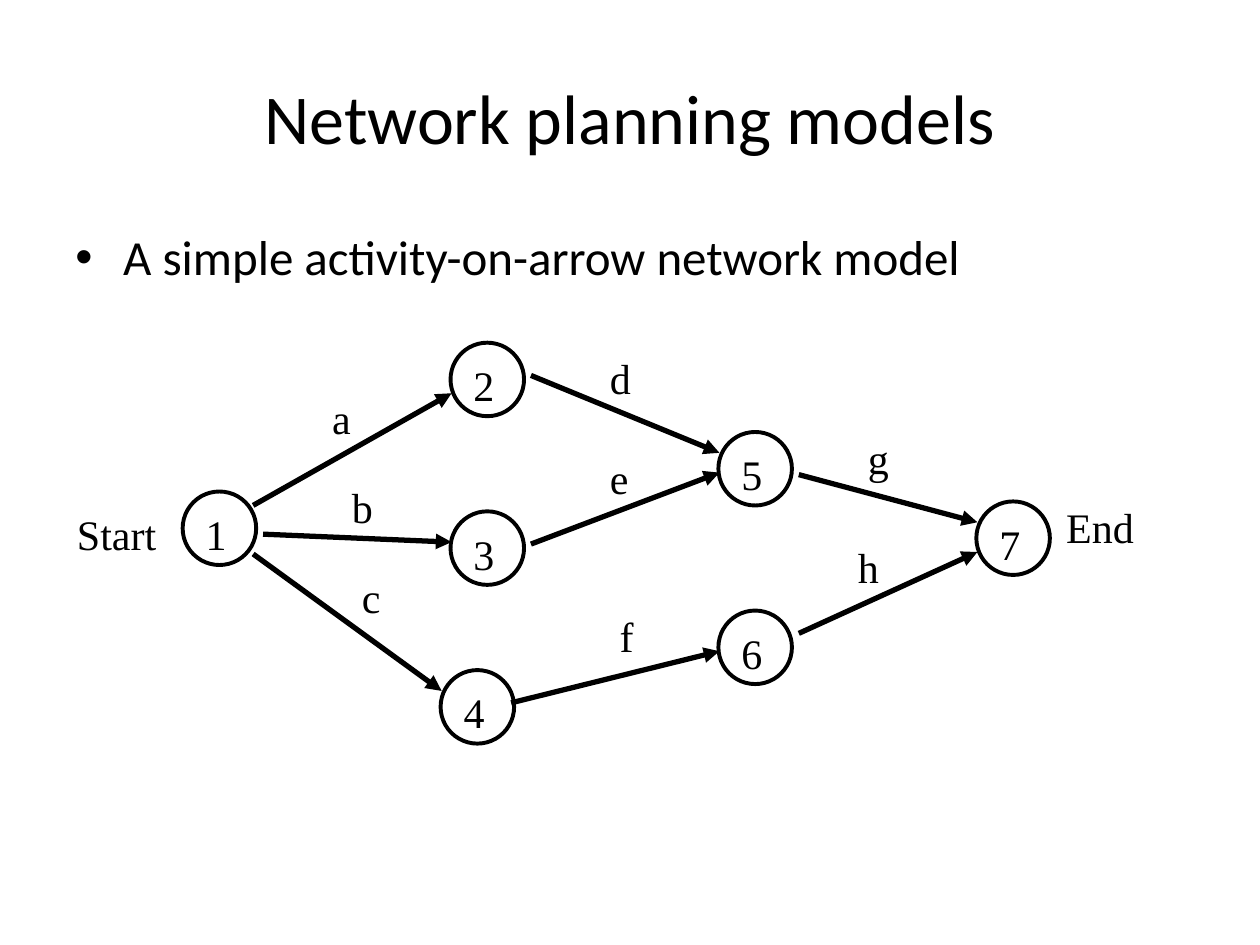
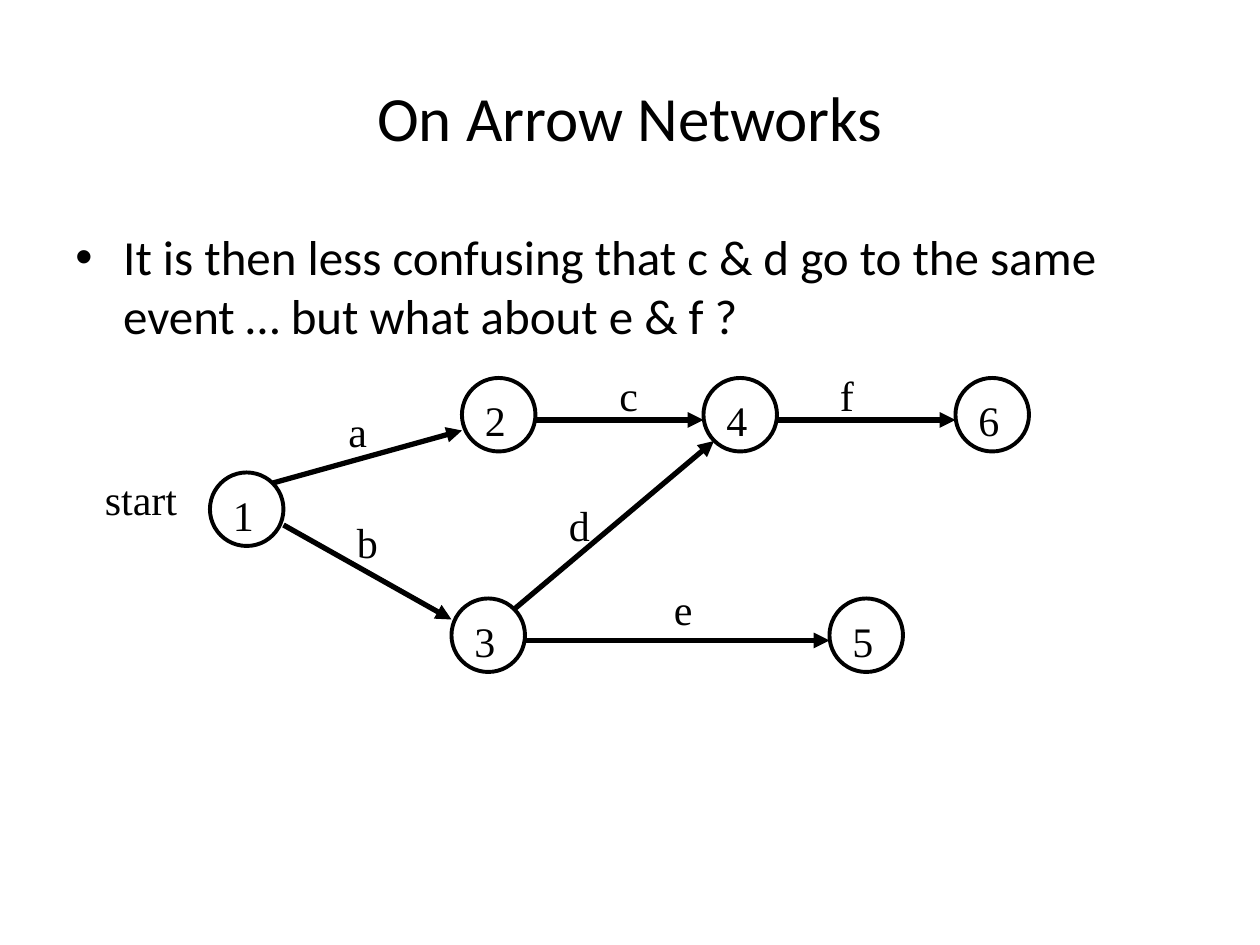
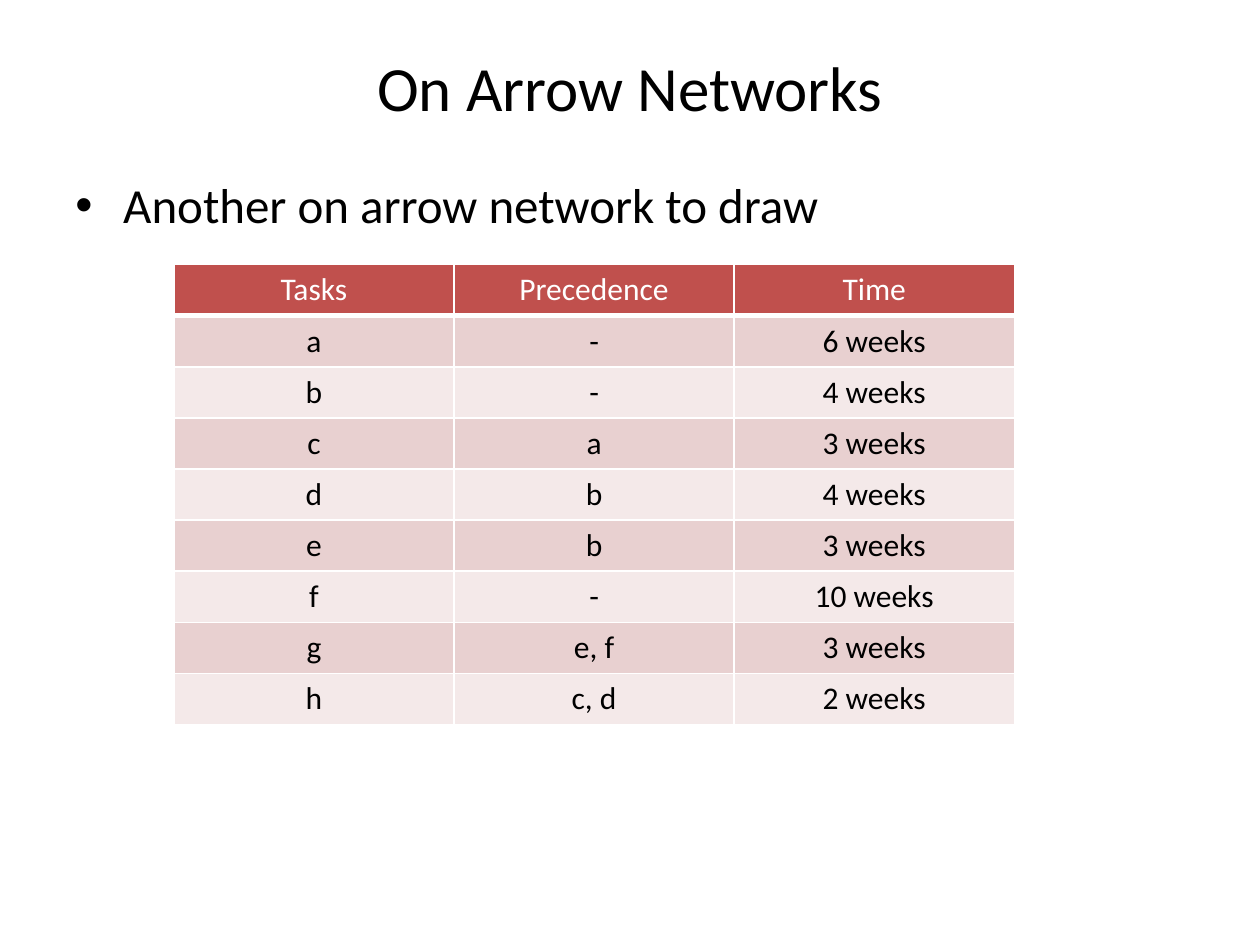
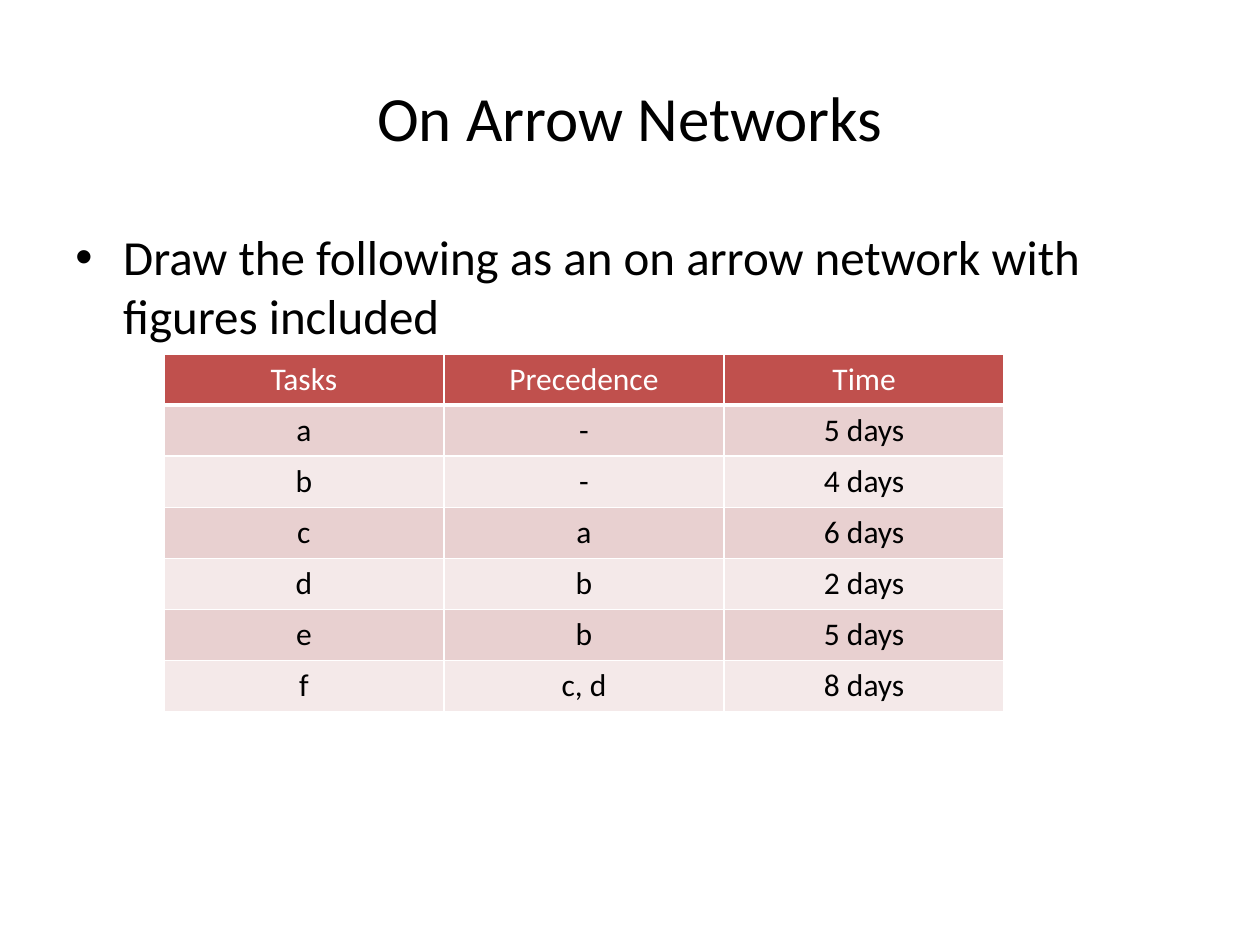
from lxml.etree import SubElement
from pptx import Presentation
from pptx.dml.color import RGBColor
from pptx.enum.shapes import MSO_CONNECTOR, MSO_SHAPE
from pptx.enum.text import MSO_ANCHOR, MSO_AUTO_SIZE as AUTO_SIZE, PP_ALIGN
from pptx.oxml.ns import qn
from pptx.util import Cm, Inches, Pt

# Shared look
COLORS = {
    "ink": "000000",
    "paper": "FFFFFF",
    "header": "C0504D",
    "odd": "E8D0D0",
    "even": "F4E9E9",
}
BODY_FONT, DIAGRAM_FONT = "Calibri", "Times New Roman"
MARGIN, CONTENT_WIDTH = Inches(0.5), Inches(9)
HANGING = Inches(0.38)
NODE_SIZE, NUMBER_INSET = Inches(7 / 12), Inches(1 / 12)
LABEL_SIZE = Pt(24)

# Letter widths in ems, used to fit a label's box to its text
LETTER_WIDTHS = {"S": 0.56, "E": 0.61, "a": 0.44, "c": 0.44, "e": 0.44,
                 "f": 0.33, "r": 0.33, "s": 0.39, "t": 0.28}

# Networks: nodes by column and row, arrows as (start, end), labels by text
ACTIVITY_NETWORK = {
    "origin": (Inches(1.45), Inches(2.72)),
    "step": Cm(0.2),
    "nodes": {"1": (0, 15), "2": (27, 0), "3": (27, 17), "4": (26, 33),
              "5": (54, 9), "6": (54, 27), "7": (80, 16)},
    "arrows": [
        ((7.1, 16.4), (27.1, 5.1)), ((8.1, 19.3), (27.1, 20.1)),
        ((7.1, 21.3), (26.1, 35.1)), ((35.1, 3.3), (54.1, 11.1)),
        ((35.1, 20.3), (54.1, 13.1)), ((33.1, 36.3), (54.1, 31.1)),
        ((62.1, 29.3), (80.1, 21.1)), ((62.1, 13.3), (80.1, 18.1)),
    ],
    "labels": {"Start": (-11.9, 16.1), "End": (87.8, 15.4),
               "a": (13.8, 4.4), "b": (15.8, 13.4), "c": (16.8, 22.4),
               "d": (41.8, 0.4), "e": (41.8, 10.4), "f": (42.8, 26.4),
               "g": (67.8, 8.4), "h": (66.8, 19.4)},
}
EVENT_NETWORK = {
    "origin": (0, 0),
    "step": Inches(1 / 12),
    "nodes": {"1": (20, 45), "2": (44, 36), "3": (43, 57),
              "4": (67, 36), "5": (79, 57), "6": (91, 36)},
    "arrows": [
        ((26, 46), (44, 41)), ((27, 50), (43, 59)), ((49, 58), (68, 42)),
        ((50, 61), (79, 61)), ((51, 40), (67, 40)), ((74, 40), (91, 40)),
    ],
    "labels": {"start": (8.8, 44.5), "a": (32, 38), "b": (32.8, 48.6),
               "c": (57.8, 34.6), "d": (53, 47), "e": (63, 55),
               "f": (78.8, 34.6)},
}

# Task tables
TASK_HEADER = ("Tasks", "Precedence", "Time")
WEEK_TASKS = [
    ("a", "-", "6 weeks"), ("b", "-", "4 weeks"), ("c", "a", "3 weeks"),
    ("d", "b", "4 weeks"), ("e", "b", "3 weeks"), ("f", "-", "10 weeks"),
    ("g", "e, f", "3 weeks"), ("h", "c, d", "2 weeks"),
]
DAY_TASKS = [
    ("a", "-", "5 days"), ("b", "-", "4 days"), ("c", "a", "6 days"),
    ("d", "b", "2 days"), ("e", "b", "5 days"), ("f", "c, d", "8 days"),
]


def rgb(name):
    return RGBColor.from_string(COLORS[name])


def write(frame, text, size, font=BODY_FONT, color="ink", align=None):
    frame.text = text
    paragraph = frame.paragraphs[0]
    paragraph.alignment = align
    face = paragraph.runs[0].font
    face.size, face.name, face.color.rgb = size, font, rgb(color)
    return paragraph


# Title and bullet
def add_topic(prs, heading, point, heading_size=36, heading_height=1.25,
              point_top=1.75, line_spacing=None):
    slide = prs.slides.add_slide(prs.slide_layouts[5])
    title = slide.shapes.title
    title.left, title.top = MARGIN, Inches(0.3)
    title.width, title.height = CONTENT_WIDTH, Inches(heading_height)
    title.text_frame.vertical_anchor = MSO_ANCHOR.MIDDLE
    write(title.text_frame, heading, Pt(heading_size), align=PP_ALIGN.CENTER)

    body = slide.shapes.add_textbox(MARGIN, Inches(point_top),
                                    CONTENT_WIDTH, Inches(4.95))
    body.text_frame.word_wrap = True
    bullet = write(body.text_frame, point, Pt(28))
    bullet.space_before = Pt(5.6)
    bullet.line_spacing = line_spacing
    props = bullet._p.get_or_add_pPr()
    props.set("marL", str(HANGING))
    props.set("indent", str(-HANGING))
    SubElement(props, qn("a:buFont"), typeface="Arial")
    SubElement(props, qn("a:buChar"), char="•")
    return slide


# Network parts
def add_label(group, text, left, top):
    ems = sum(LETTER_WIDTHS.get(letter, 0.5) for letter in text)
    width = Inches(0.2) + int(ems * LABEL_SIZE)
    label = group.shapes.add_textbox(left, top, width, Inches(0.5))
    label.text_frame.word_wrap = False
    label.text_frame.auto_size = AUTO_SIZE.SHAPE_TO_FIT_TEXT
    write(label.text_frame, text, LABEL_SIZE, DIAGRAM_FONT)


def add_node(group, number, left, top):
    circle = group.shapes.add_shape(MSO_SHAPE.OVAL, left, top,
                                    NODE_SIZE, NODE_SIZE)
    circle.shadow.inherit = False
    circle.fill.background()
    circle.line.color.rgb, circle.line.width = rgb("ink"), Pt(2.25)
    add_label(group, number, left + NUMBER_INSET, top + NUMBER_INSET)


def add_arrow(group, start, end):
    arrow = group.shapes.add_connector(MSO_CONNECTOR.STRAIGHT, *start, *end)
    arrow.line.color.rgb, arrow.line.width = rgb("ink"), Pt(3)
    SubElement(arrow.line._get_or_add_ln(), qn("a:tailEnd"), type="triangle")
    SubElement(arrow._element.spPr, qn("a:effectLst"))


def add_network(slide, network):
    def place(cell):
        return [int(start + network["step"] * count)
                for start, count in zip(network["origin"], cell)]

    group = slide.shapes.add_group_shape()
    for number, cell in network["nodes"].items():
        add_node(group, number, *place(cell))
    for start, end in network["arrows"]:
        add_arrow(group, place(start), place(end))
    for text, cell in network["labels"].items():
        add_label(group, text, *place(cell))


# Task table
def add_borders(cell, bottom):
    props = cell._tc.get_or_add_tcPr()
    for side, points in (("L", 1), ("R", 1), ("T", 1), ("B", bottom)):
        border = SubElement(props, qn(f"a:ln{side}"), w=str(Pt(points)))
        fill = SubElement(border, qn("a:solidFill"))
        SubElement(fill, qn("a:srgbClr"), val=COLORS["paper"])


def add_task_table(slide, left, top, height, tasks):
    rows = [TASK_HEADER] + tasks
    table = slide.shapes.add_table(
        len(rows), len(TASK_HEADER), Inches(left), Inches(top),
        Inches(6.67), Inches(height)).table
    for r, row in enumerate(rows):
        band = "header" if r == 0 else "odd" if r % 2 else "even"
        for c, text in enumerate(row):
            cell = table.cell(r, c)
            add_borders(cell, bottom=1 if r else 3)
            cell.fill.solid()
            cell.fill.fore_color.rgb = rgb(band)
            paragraph = write(cell.text_frame, text, Pt(18),
                              color="ink" if r else "paper",
                              align=PP_ALIGN.CENTER)
            paragraph.runs[0].font.bold = False


def main():
    prs = Presentation()
    prs.slide_width, prs.slide_height = Inches(10), Inches(7.5)

    slide = add_topic(prs, "Network planning models",
                      "A simple activity-on-arrow network model",
                      heading_size=40)
    add_network(slide, ACTIVITY_NETWORK)

    slide = add_topic(prs, "On Arrow Networks",
                      "It is then less confusing that c & d go to the same "
                      "event … but what about e & f ?")
    add_network(slide, EVENT_NETWORK)

    slide = add_topic(prs, "On Arrow Networks",
                      "Another on arrow network to draw",
                      heading_height=0.77, point_top=1.39, line_spacing=0.9)
    add_task_table(slide, 1.38, 2.1, 3.65, WEEK_TASKS)

    slide = add_topic(prs, "On Arrow Networks",
                      "Draw the following as an on arrow network with "
                      "figures included")
    add_task_table(slide, 1.3, 2.81, 2.84, DAY_TASKS)

    prs.save("out.pptx")


if __name__ == "__main__":
    main()
